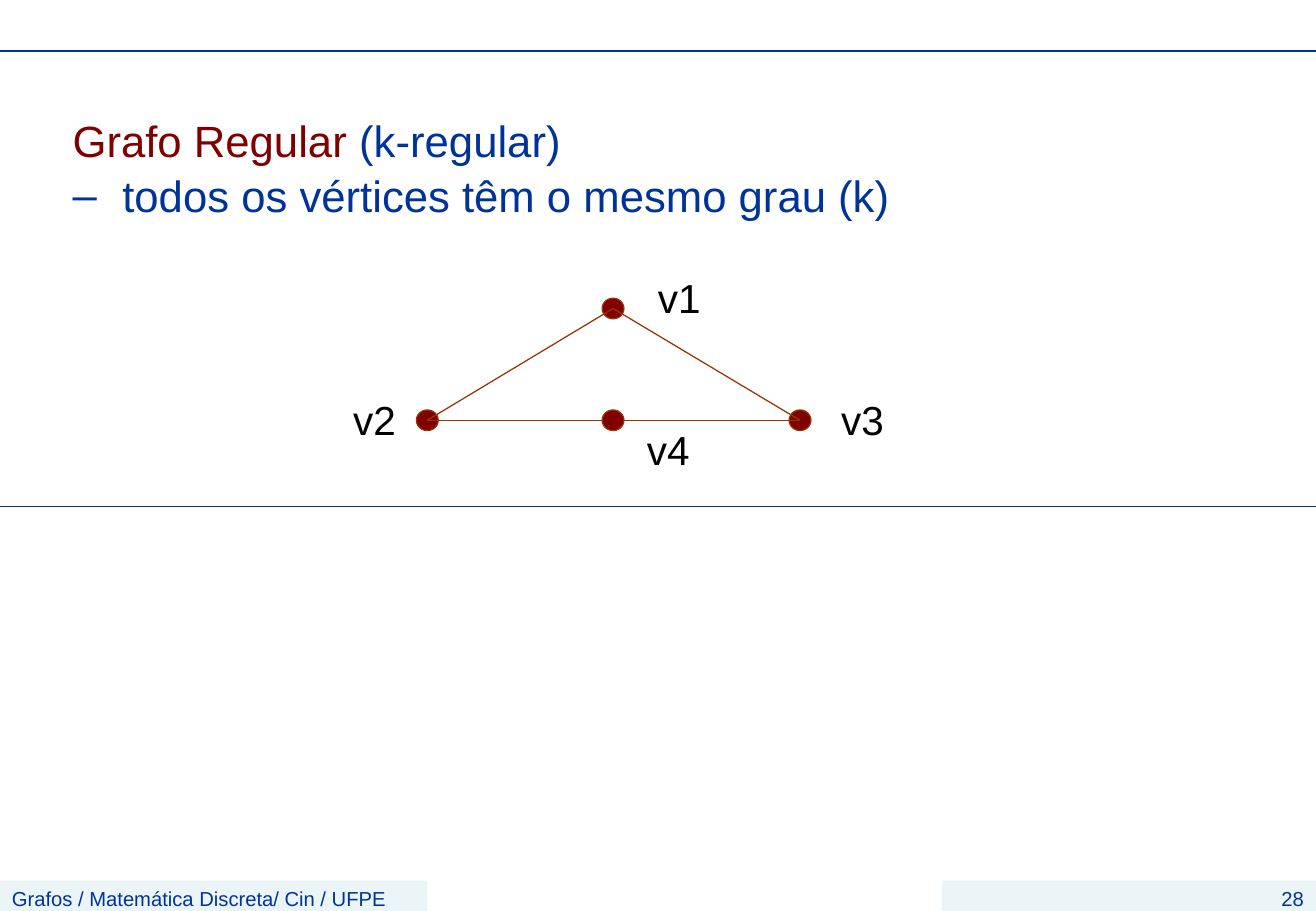
from lxml import etree
from pptx import Presentation
from pptx import util as u
from pptx.dml.color import RGBColor
from pptx.enum import shapes, text
from pptx.oxml.ns import qn

SCALE = 9144
WIDTH, HEIGHT = 1084, 750
NAVY, MAROON, RUST, PALE, BLACK = "003399", "800000", "993300", "D9ECF3", "000000"


def px(*lengths):
    """Turn px lengths into EMU."""
    return [u.Emu(round(length * SCALE)) for length in lengths]


def color(hex_string):
    """Return the colour of a hex string."""
    return RGBColor.from_string(hex_string)


def add_run(paragraph, words, size, ink):
    """Append one Arial run."""
    run = paragraph.add_run()
    run.text = words
    run.font.name = "Arial"
    run.font.size = u.Pt(size)
    run.font.color.rgb = color(ink)


def set_margins(frame, left, top, right, bottom):
    """Set the four insets of a text frame."""
    frame.margin_left, frame.margin_top, frame.margin_right, frame.margin_bottom = px(
        left, top, right, bottom)


def add_line(slide, start, end, ink):
    """Draw a thin straight line."""
    connector = slide.shapes.add_connector(
        shapes.MSO_CONNECTOR.STRAIGHT, *px(*start, *end))
    connector.line.color.rgb = color(ink)
    connector.line.width = u.Pt(0.75)
    properties = connector.element.find(qn("p:spPr"))
    etree.SubElement(properties, qn("a:effectLst"))


def add_footer_bar(slide, box, words, alignment):
    """Draw a half-transparent footer bar with its text."""
    shape = slide.shapes.add_shape(shapes.MSO_SHAPE.RECTANGLE, *px(*box))
    shape.shadow.inherit = False
    shape.fill.solid()
    shape.fill.fore_color.rgb = color(PALE)
    fill = shape.element.find(".//" + qn("a:srgbClr"))
    etree.SubElement(fill, qn("a:alpha"), val="50000")
    shape.line.fill.background()
    frame = shape.text_frame
    frame.word_wrap = True
    frame.vertical_anchor = text.MSO_ANCHOR.TOP
    set_margins(frame, 10, 5, 10, 5)
    paragraph = frame.paragraphs[0]
    paragraph.alignment = alignment
    add_run(paragraph, words, 12, NAVY)


def add_definition(slide, box):
    """Write the term and its dashed definition."""
    frame = slide.shapes.add_textbox(*px(*box)).text_frame
    frame.word_wrap = True
    set_margins(frame, 10, 60, 10, 5)
    term = frame.paragraphs[0]
    definition = frame.add_paragraph()
    for paragraph, indent, hanging in ((term, 50, 0), (definition, 91, -41)):
        properties = paragraph._p.get_or_add_pPr()
        properties.set("marL", str(indent * SCALE))
        properties.set("indent", str(hanging * SCALE))
        paragraph.line_spacing = 0.8
    definition.space_before = u.Pt(8)
    properties = definition._p.get_or_add_pPr()
    bullet_color = etree.SubElement(properties, qn("a:buClr"))
    etree.SubElement(bullet_color, qn("a:srgbClr"), val=NAVY)
    etree.SubElement(properties, qn("a:buFont"), typeface="Arial")
    etree.SubElement(properties, qn("a:buChar"), char="–")
    add_run(term, "Grafo Regular", 25.9, MAROON)
    add_run(term, " (k-regular)", 25.9, NAVY)
    add_run(definition, "todos os vértices têm o mesmo grau (k)", 25.9, NAVY)


def add_vertex(slide, center, words, label_offset):
    """Draw a vertex and its label."""
    x, y = center
    width, height = 18, 17
    shape = slide.shapes.add_shape(
        shapes.MSO_SHAPE.OVAL, *px(x - width / 2, y - height / 2, width, height))
    shape.shadow.inherit = False
    shape.fill.solid()
    shape.fill.fore_color.rgb = color(MAROON)
    shape.line.color.rgb = color(RUST)
    shape.line.width = u.Pt(0.75)
    dx, dy = label_offset
    frame = slide.shapes.add_textbox(*px(x + dx, y + dy, 55, 50)).text_frame
    frame.word_wrap = False
    set_margins(frame, 10, 8, 10, 3)
    add_run(frame.paragraphs[0], words, 24, BLACK)


def add_graph(slide, box):
    """Draw the 2-regular graph with the outer vertices on the box edges."""
    left, top, width, height = box
    middle, right, bottom = left + width // 2, left + width, top + height
    v1, v2, v3, v4 = (middle, top), (left, bottom), (right, bottom), (middle, bottom)
    add_vertex(slide, v1, "v1", (27, -37))
    add_vertex(slide, v2, "v2", (-71, -29))
    add_vertex(slide, v3, "v3", (24, -29))
    for start, end in ((v2, v3), (v2, v1), (v1, v3)):
        add_line(slide, start, end, RUST)
    add_vertex(slide, v4, "v4", (18, -4))


def add_graph_slide(presentation):
    """Build the regular graph slide."""
    slide = presentation.slides.add_slide(presentation.slide_layouts[6])
    add_footer_bar(slide, (0, 725, 352, 25),
                   "Grafos / Matemática Discreta/ Cin / UFPE", text.PP_ALIGN.LEFT)
    add_footer_bar(slide, (776, 725, 308, 25), "28", text.PP_ALIGN.RIGHT)
    add_definition(slide, (0, 42, WIDTH, 142))
    for y in (42, 417):
        add_line(slide, (0, y), (WIDTH, y), NAVY)
    add_graph(slide, (352, 254, 307, 92))


def main():
    """Create and save the presentation."""
    presentation = Presentation()
    presentation.slide_width, presentation.slide_height = px(WIDTH, HEIGHT)
    add_graph_slide(presentation)
    presentation.save("out.pptx")


if __name__ == "__main__":
    main()
